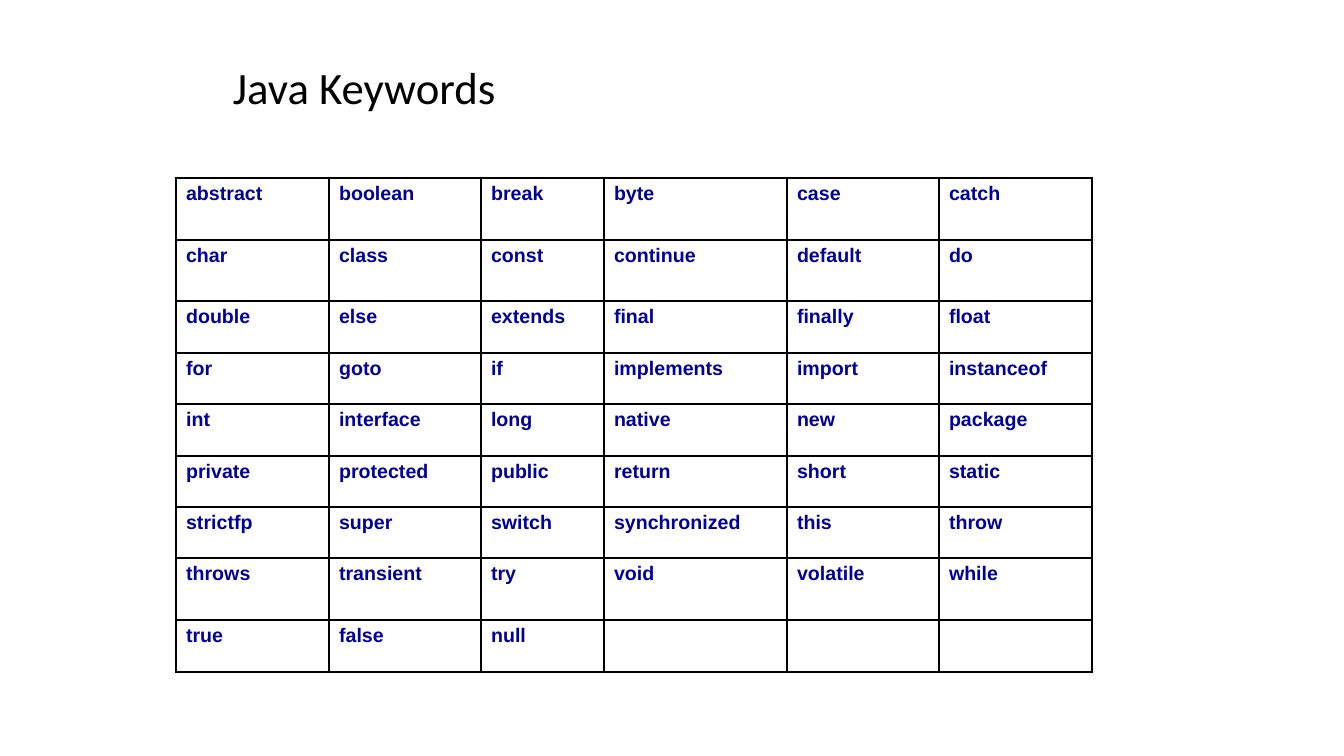
import pptx
import pptx.util
import pptx.dml.color
import pptx.enum.text
import pptx.oxml.ns
import lxml.etree

# Content
TITLE = "Java Keywords"
KEYWORDS = [
    ("abstract", "boolean", "break", "byte", "case", "catch"),
    ("char", "class", "const", "continue", "default", "do"),
    ("double", "else", "extends", "final", "finally", "float"),
    ("for", "goto", "if", "implements", "import", "instanceof"),
    ("int", "interface", "long", "native", "new", "package"),
    ("private", "protected", "public", "return", "short", "static"),
    ("strictfp", "super", "switch", "synchronized", "this", "throw"),
    ("throws", "transient", "try", "void", "volatile", "while"),
    ("true", "false", "null", "", "", ""),
]

# Layout in pixels
TITLE_BOX = (223, 56, 874, 68)
COL_EDGES = (176, 329, 481, 604, 787, 939, 1092)
ROW_EDGES = (178, 240, 301, 353, 404, 456, 507, 558, 620, 672)
BLACK, NAVY = "000000", "000099"
OUTER, INNER = 2.25, 1


def px(n):
    return pptx.util.Emu(round(n * 914400 / 100.8))


def color(value):
    return pptx.dml.color.RGBColor.from_string(value)


def add_run(p, text, font, size, value, bold=False):
    r = p.add_run()
    r.text = text
    r.font.name = font
    r.font.size = pptx.util.Pt(size)
    r.font.bold = bold
    r.font.color.rgb = color(value)


def add_borders(cell, widths):
    tcPr = cell._tc.get_or_add_tcPr()
    qn = pptx.oxml.ns.qn
    for i, (side, width) in enumerate(widths.items()):
        ln = lxml.etree.Element(qn("a:ln" + side), w=str(pptx.util.Pt(width)))
        fill = lxml.etree.SubElement(ln, qn("a:solidFill"))
        lxml.etree.SubElement(fill, qn("a:srgbClr"), val=BLACK)
        tcPr.insert(i, ln)


prs = pptx.Presentation()
prs.slide_width, prs.slide_height = px(1344), px(756)
s = prs.slides.add_slide(prs.slide_layouts[6])

# Title
tf = s.shapes.add_textbox(*map(px, TITLE_BOX)).text_frame
tf.word_wrap = True
tf.vertical_anchor = pptx.enum.text.MSO_ANCHOR.MIDDLE
p = tf.paragraphs[0]
p.line_spacing = 0.9
add_run(p, TITLE, "Calibri", 32, BLACK)

# Keyword table
rows, cols = len(KEYWORDS), len(KEYWORDS[0])
left, top = COL_EDGES[0], ROW_EDGES[0]
table = s.shapes.add_table(rows, cols, px(left), px(top),
                           px(COL_EDGES[-1] - left),
                           px(ROW_EDGES[-1] - top)).table
table.first_row = table.horz_banding = False
for column, start, end in zip(table.columns, COL_EDGES, COL_EDGES[1:]):
    column.width = px(end - start)
for row, start, end in zip(table.rows, ROW_EDGES, ROW_EDGES[1:]):
    row.height = px(end - start)

for i, words in enumerate(KEYWORDS):
    for j, word in enumerate(words):
        cell = table.cell(i, j)
        cell.fill.background()
        add_borders(cell, {
            "L": OUTER if j == 0 else INNER,
            "R": OUTER if j == cols - 1 else INNER,
            "T": OUTER if i == 0 else INNER,
            "B": OUTER if i == rows - 1 else INNER,
        })
        if word:
            add_run(cell.text_frame.paragraphs[0], word, "Arial", 14, NAVY, True)

prs.save("out.pptx")
